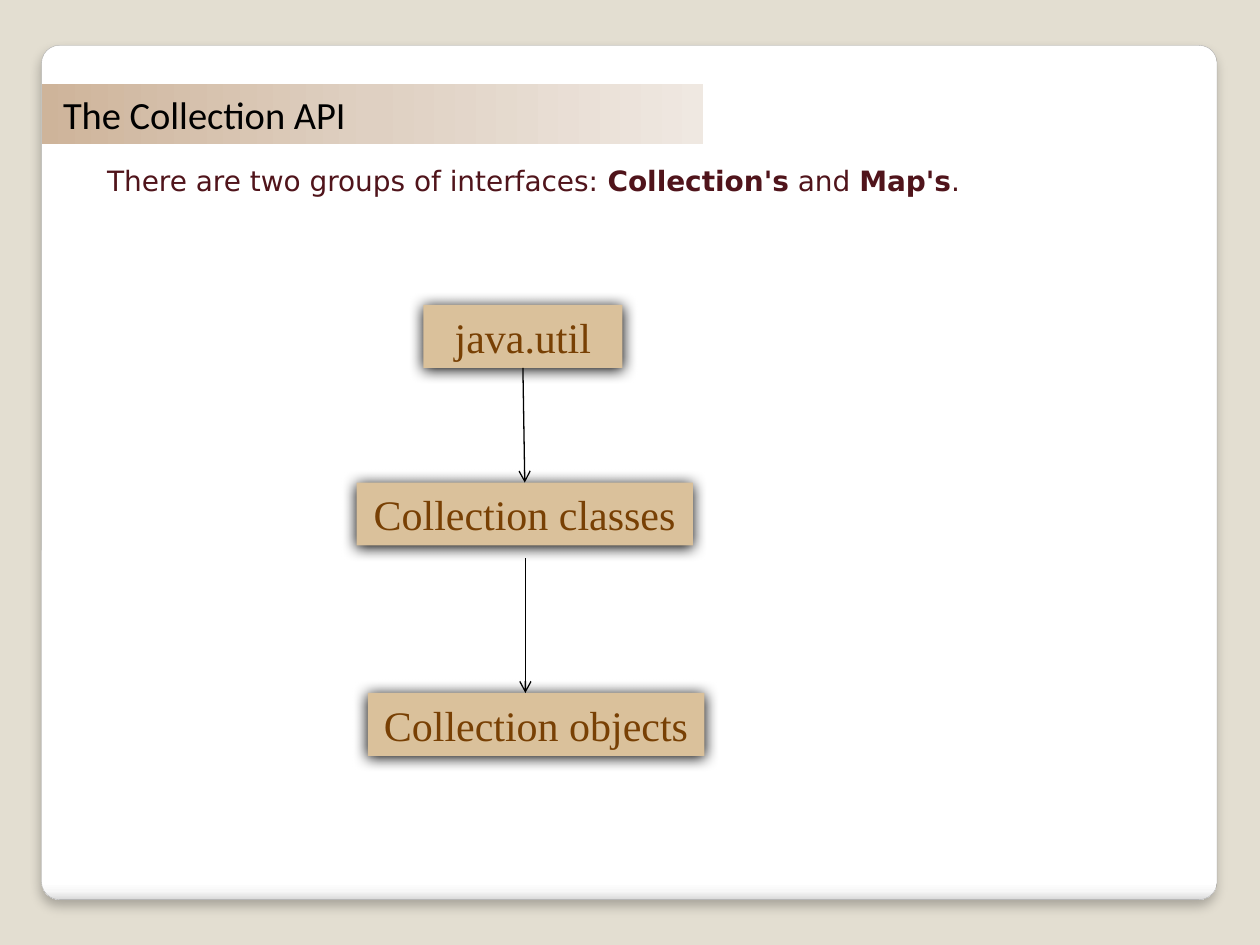
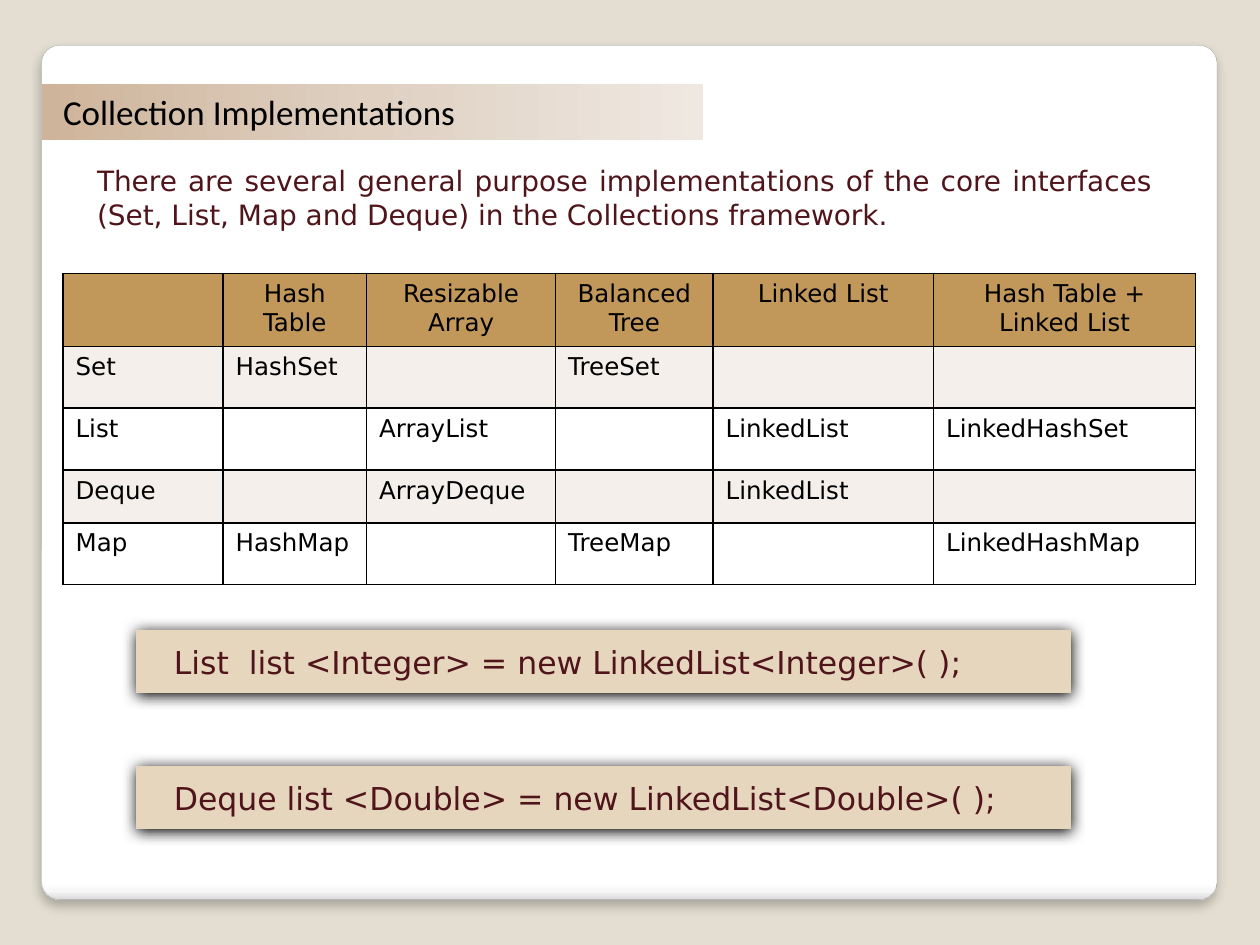
from lxml.etree import SubElement
from pptx import Presentation
from pptx.dml.color import RGBColor
from pptx.enum.shapes import MSO_CONNECTOR, MSO_SHAPE
from pptx.enum.text import MSO_ANCHOR, MSO_AUTO_SIZE, PP_ALIGN
from pptx.oxml.ns import qn
from pptx.util import Inches, Pt

BLACK, WHITE, MAROON, BROWN = "000000", "FFFFFF", "50141B", "784004"
BACKDROP, PANEL_LINE = "E3DED1", "A4A4A4"
BOX_FILL, CODE_FILL = "DAC19B", "E6D6BD"
HEADER_FILL, BAND_FILLS = "C19859", ("F4EFEA", WHITE)
PANEL_STOPS = [(0, WHITE), (98, WHITE), (99, "F7F7F7"), (100, "DADADA")]
TITLE_STOPS = [(0, "CEB49A"), (50, "DFD0C2"), (100, "EFE8E1")]

TITLE = {"name": "Calibri", "color": BLACK, "bold": False}
INTRO = {"name": "DejaVu Sans", "size": Pt(16), "color": MAROON}
BOX = {"name": "Times New Roman", "size": Pt(24), "color": BROWN}
CELL = {"name": "DejaVu Sans", "size": Pt(14), "color": BLACK, "bold": False}
CODE = {"name": "DejaVu Sans", "size": Pt(18), "color": MAROON}

COLUMNS = [1.27, 1.14, 1.5, 1.25, 1.75, 2.08]
ROWS = [0.58, 0.49, 0.49, 0.42, 0.49]
IMPLEMENTATIONS = [
    ["", "Hash\nTable", "Resizable Array", "Balanced Tree", "Linked List",
     "Hash Table + Linked List"],
    ["Set", "HashSet", "", "TreeSet", "", ""],
    ["List", "", "ArrayList", "", "LinkedList", "LinkedHashSet"],
    ["Deque", "", "ArrayDeque", "", "LinkedList", ""],
    ["Map", "HashMap", "", "TreeMap", "", "LinkedHashMap"],
]


def rgb(value):
    return RGBColor.from_string(value)


def inches(box):
    return [Inches(v) for v in box]


def style(font, formats):
    for key, value in formats.items():
        if key == "color":
            font.color.rgb = rgb(value)
        else:
            setattr(font, key, value)


def place(sp, box):
    for key, value in zip(("left", "top", "width", "height"), inches(box)):
        setattr(sp, key, value)


def add_color(parent, value):
    return SubElement(parent, qn("a:srgbClr"), val=value)


def set_gradient(sp, stops, angle):
    sp.fill.background()
    no_fill = sp.element.spPr.find(qn("a:noFill"))
    grad = no_fill.makeelement(qn("a:gradFill"), rotWithShape="1")
    stop_list = SubElement(grad, qn("a:gsLst"))
    for position, color in stops:
        add_color(SubElement(stop_list, qn("a:gs"), pos=str(position * 1000)), color)
    SubElement(grad, qn("a:lin"), ang=str(angle * 60000), scaled="0")
    no_fill.getparent().replace(no_fill, grad)


def set_shadow(sp, alpha, blur, distance):
    """Cast a black shadow straight down."""
    sp.shadow.inherit = False
    effects = sp.element.spPr.find(qn("a:effectLst"))
    outer = SubElement(effects, qn("a:outerShdw"), blurRad=str(Pt(blur)),
                       dist=str(Pt(distance)), dir="5400000", algn="t", rotWithShape="0")
    SubElement(add_color(outer, BLACK), qn("a:alpha"), val=str(alpha * 1000))


def add_panel_to_master(prs, slide):
    """Draw the white panel and move it behind everything on the master."""
    master = prs.slide_master
    master.background.fill.solid()
    master.background.fill.fore_color.rgb = rgb(BACKDROP)
    sp = slide.shapes.add_shape(MSO_SHAPE.ROUNDED_RECTANGLE,
                                *inches((0.33, 0.36, 9.33, 6.78)))
    sp.adjustments[0] = 0.021
    set_gradient(sp, PANEL_STOPS, 90)
    sp.line.color.rgb = rgb(PANEL_LINE)
    sp.line.width = Pt(0.16)
    set_shadow(sp, 25, 6, 4)
    master.shapes.element.insert(2, sp.element)


def set_title(slide, text, size, height):
    sp = slide.shapes.title
    place(sp, (0.33, 0.67, 5.25, height))
    set_gradient(sp, TITLE_STOPS, 0)
    tf = sp.text_frame
    tf.auto_size = MSO_AUTO_SIZE.NONE
    tf.vertical_anchor = MSO_ANCHOR.TOP
    tf.margin_left = Inches(0.17)
    p = tf.paragraphs[0]
    p.alignment = PP_ALIGN.LEFT
    r = p.add_run()
    r.text = text
    style(r.font, {**TITLE, "size": Pt(size)})


def set_intro(slide, box, runs, align=PP_ALIGN.LEFT):
    """Fill the body placeholder with (text, bold) runs and no bullet."""
    sp = slide.placeholders[1]
    place(sp, box)
    tf = sp.text_frame
    tf.auto_size = MSO_AUTO_SIZE.NONE
    p = tf.paragraphs[0]
    pPr = p._p.get_or_add_pPr()
    pPr.set("marL", "0")
    pPr.set("indent", "0")
    SubElement(pPr, qn("a:buNone"))
    p.alignment = align
    p.space_before = Pt(0)
    for text, bold in runs:
        r = p.add_run()
        r.text = text
        style(r.font, {**INTRO, "bold": bold})


def add_box(slide, box, text, fill, formats, align, margin=0.1):
    sp = slide.shapes.add_shape(MSO_SHAPE.RECTANGLE, *inches(box))
    sp.fill.solid()
    sp.fill.fore_color.rgb = rgb(fill)
    sp.line.fill.background()
    set_shadow(sp, 100, 8.5, 1)
    tf = sp.text_frame
    tf.margin_left = Inches(margin)
    tf.vertical_anchor = MSO_ANCHOR.MIDDLE
    p = tf.paragraphs[0]
    p.alignment = align
    r = p.add_run()
    r.text = text
    style(r.font, formats)
    return sp


def add_arrow(slide, start, end):
    line = slide.shapes.add_connector(MSO_CONNECTOR.STRAIGHT, *inches(start + end))
    line.line.color.rgb = rgb(BLACK)
    line.line.width = Pt(0.75)
    SubElement(line.line._get_or_add_ln(), qn("a:tailEnd"), type="arrow")
    SubElement(line.element.spPr, qn("a:effectLst"))
    return line


def set_borders(cell):
    tcPr = cell._tc.get_or_add_tcPr()
    for side in "LRTB":
        ln = SubElement(tcPr, qn(f"a:ln{side}"), w=str(Pt(1)))
        add_color(SubElement(ln, qn("a:solidFill")), BLACK)


def add_implementations_table(slide, left, top):
    table = slide.shapes.add_table(
        len(ROWS), len(COLUMNS),
        *inches((left, top, sum(COLUMNS), sum(ROWS)))).table
    for column, width in zip(table.columns, COLUMNS):
        column.width = Inches(width)
    for i, (row, height) in enumerate(zip(table.rows, ROWS)):
        row.height = Inches(height)
        for cell, text in zip(row.cells, IMPLEMENTATIONS[i]):
            set_borders(cell)
            cell.fill.solid()
            cell.fill.fore_color.rgb = rgb(BAND_FILLS[(i - 1) % 2] if i else HEADER_FILL)
            cell.text = text
            for p in cell.text_frame.paragraphs:
                p.alignment = PP_ALIGN.LEFT if i else PP_ALIGN.CENTER
                for r in p.runs:
                    style(r.font, CELL)


def add_package_flow(slide, left, top):
    boxes = [("java.util", 0.53, 0, 1.58),
             ("Collection classes", 0, 1.41, 2.67),
             ("Collection objects", 0.09, 3.08, 2.67)]
    package, classes, _ = [
        add_box(slide, (left + dx, top + dy, width, 0.5), text, BOX_FILL, BOX,
                PP_ALIGN.CENTER)
        for text, dx, dy, width in boxes]
    middle = left + 1.34
    arrow = add_arrow(slide, (middle, top + 0.5), (middle, top + 1.41))
    arrow.begin_connect(package, 2)
    arrow.end_connect(classes, 0)
    add_arrow(slide, (middle, top + 2.01), (middle, top + 3.08))


def build_api_slide(slide):
    set_title(slide, "The Collection API", 22, 0.47)
    set_intro(slide, (0.75, 1.25, 7.58, 0.37), [
        ("There are two groups of interfaces: ", False), ("Collection's", True),
        (" and ", False), ("Map's", True), (".", False)])
    add_package_flow(slide, 2.83, 2.42)


def build_implementations_slide(slide):
    set_title(slide, "Collection Implementations", 20, 0.44)
    set_intro(slide, (0.67, 1.25, 8.58, 0.64), [
        ("There are several general purpose implementations of the core interfaces "
         "(Set, List, Map and Deque) in the Collections framework.", False)],
        PP_ALIGN.JUSTIFY)
    add_implementations_table(slide, 0.5, 2.17)
    for i, code in enumerate(["List  list <Integer> = new LinkedList<Integer>( );",
                              "Deque list <Double> = new LinkedList<Double>( );"]):
        add_box(slide, (1.08, 5 + 1.08 * i, 7.42, 0.5), code, CODE_FILL, CODE,
                PP_ALIGN.LEFT, margin=0.3)


def main():
    prs = Presentation()
    prs.slide_width, prs.slide_height = Inches(10), Inches(7.5)
    layout = prs.slide_layouts[1]
    api, implementations = [prs.slides.add_slide(layout) for _ in range(2)]
    add_panel_to_master(prs, api)
    build_api_slide(api)
    build_implementations_slide(implementations)
    prs.save("out.pptx")


if __name__ == "__main__":
    main()
